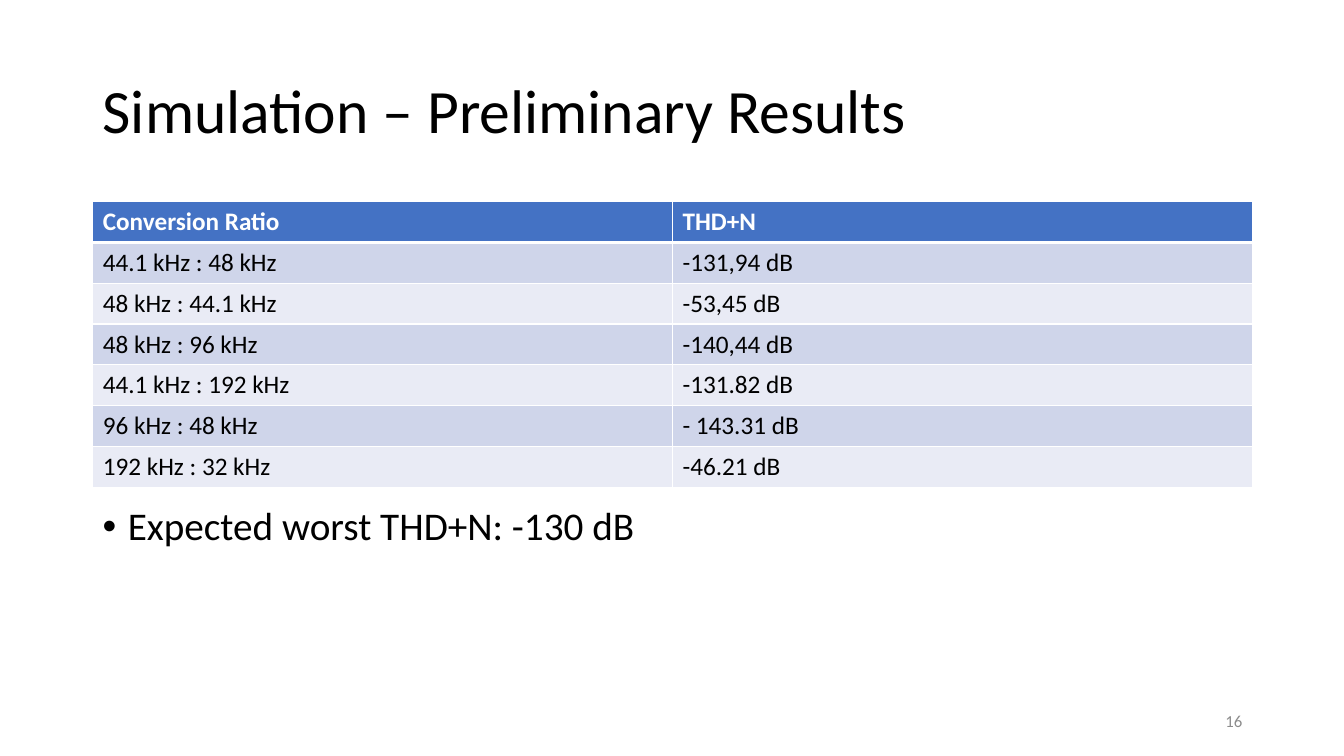
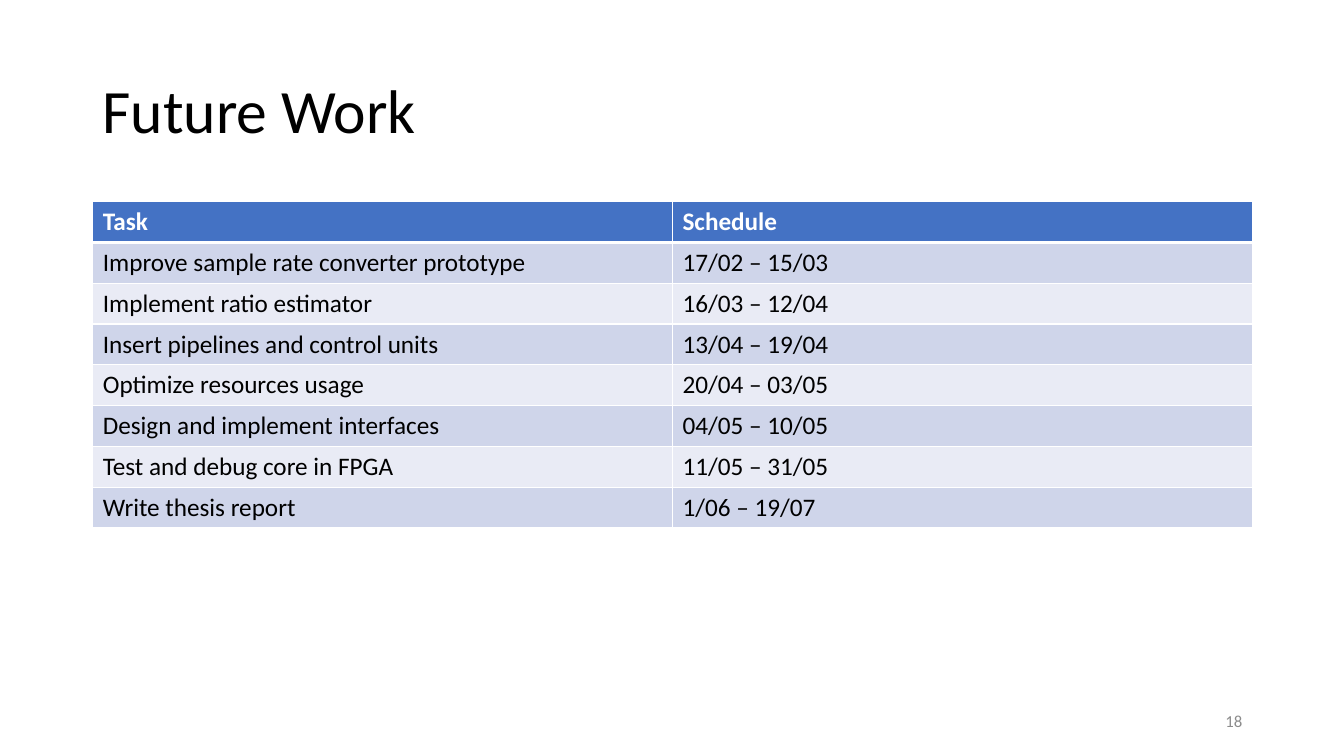
from dataclasses import dataclass
from typing import Any

from lxml.etree import SubElement
from pptx import Presentation
from pptx.dml.color import RGBColor
from pptx.enum.text import MSO_ANCHOR, PP_ALIGN
from pptx.oxml.ns import qn
from pptx.slide import Slide
from pptx.util import Inches, Pt


@dataclass(frozen=True)
class Theme:
    font: str = "Calibri"
    bullet_font: str = "Arial"
    ink: str = "000000"
    paper: str = "FFFFFF"
    muted: str = "8C8C8C"
    header: str = "4472C4"
    bands: tuple[str, str] = ("CFD5EA", "E9EBF5")
    title_size: int = 44
    body_size: int = 28
    table_size: int = 18
    number_size: int = 12
    rule: int = 1
    header_rule: int = 3


@dataclass(frozen=True)
class Box:
    left: float
    top: float
    width: float
    height: float

    def emu(self) -> list[int]:
        return [Inches(v) for v in (self.left, self.top, self.width, self.height)]


@dataclass(frozen=True)
class TextStyle:
    size: int
    color: str = "000000"
    bold: bool = False


@dataclass(frozen=True)
class Page:
    title: str
    number: int
    rows: tuple[tuple[str, str], ...]
    bullet: str = ""


THEME = Theme()
LEFT, WIDTH, ROW_HEIGHT = 0.92, 11.5, 0.405
TITLE_BOX = Box(LEFT, 0.4, WIDTH, 1.45)
NUMBER_BOX = Box(9.42, 6.95, 3, 0.4)
BULLET_BOX = Box(LEFT, 4.98, WIDTH, 1.77)
TITLE = TextStyle(THEME.title_size, THEME.ink)
BODY = TextStyle(THEME.body_size, THEME.ink)
NUMBER = TextStyle(THEME.number_size, THEME.muted)
HEADER = TextStyle(THEME.table_size, THEME.paper, True)
CELL = TextStyle(THEME.table_size, THEME.ink)

PAGES = (
    Page("Simulation – Preliminary Results", 16, (
        ("Conversion Ratio", "THD+N"),
        ("44.1 kHz : 48 kHz", "-131,94 dB"),
        ("48 kHz : 44.1 kHz", "-53,45 dB"),
        ("48 kHz : 96 kHz", "-140,44 dB"),
        ("44.1 kHz : 192 kHz", "-131.82 dB"),
        ("96 kHz : 48 kHz", "- 143.31 dB"),
        ("192 kHz : 32 kHz", "-46.21 dB"),
    ), "Expected worst THD+N: -130 dB"),
    Page("Future Work", 18, (
        ("Task", "Schedule"),
        ("Improve sample rate converter prototype", "17/02 – 15/03"),
        ("Implement ratio estimator", "16/03 – 12/04"),
        ("Insert pipelines and control units", "13/04 – 19/04"),
        ("Optimize resources usage", "20/04 – 03/05"),
        ("Design and implement interfaces", "04/05 – 10/05"),
        ("Test and debug core in FPGA", "11/05 – 31/05"),
        ("Write thesis report", "1/06 – 19/07"),
    )),
)


def set_all(target: Any, values: dict[str, Any]) -> None:
    for name, value in values.items():
        setattr(target, name, value)


def write(p: Any, text: str, style: TextStyle) -> None:
    r = p.add_run()
    r.text = text
    set_all(r.font, {"name": THEME.font, "size": Pt(style.size), "bold": style.bold})
    r.font.color.rgb = RGBColor.from_string(style.color)


def add_text(s: Slide, box: Box, text: str, style: TextStyle,
             anchor: MSO_ANCHOR = MSO_ANCHOR.MIDDLE, **paragraph: Any) -> Any:
    tf = s.shapes.add_textbox(*box.emu()).text_frame
    set_all(tf, {"word_wrap": True, "vertical_anchor": anchor})
    p = tf.paragraphs[0]
    set_all(p, paragraph)
    write(p, text, style)
    return p


def add_bullet(s: Slide, text: str) -> None:
    p = add_text(s, BULLET_BOX, text, BODY, MSO_ANCHOR.TOP,
                 line_spacing=0.9, space_before=Pt(10))
    pPr = p._p.get_or_add_pPr()
    pPr.set("marL", str(Inches(0.25)))
    pPr.set("indent", str(Inches(-0.25)))
    SubElement(pPr, qn("a:buFont"), typeface=THEME.bullet_font)
    SubElement(pPr, qn("a:buChar"), char="•")


def add_borders(cell: Any, top: int, bottom: int) -> None:
    tcPr = cell._tc.get_or_add_tcPr()
    widths = {"lnL": THEME.rule, "lnR": THEME.rule, "lnT": top, "lnB": bottom}
    for side, width in widths.items():
        ln = SubElement(tcPr, qn(f"a:{side}"), w=str(Pt(width)))
        fill = SubElement(ln, qn("a:solidFill"))
        SubElement(fill, qn("a:srgbClr"), val=THEME.paper)


def add_grid(s: Slide, rows: tuple[tuple[str, str], ...]) -> None:
    box = Box(LEFT, 2, WIDTH, ROW_HEIGHT * len(rows))
    table = s.shapes.add_table(len(rows), len(rows[0]), *box.emu()).table
    for i, row in enumerate(rows):
        style = CELL if i else HEADER
        color = THEME.bands[(i - 1) % 2] if i else THEME.header
        top = THEME.header_rule if i == 1 else THEME.rule
        bottom = THEME.rule if i else THEME.header_rule
        for j, text in enumerate(row):
            cell = table.cell(i, j)
            add_borders(cell, top, bottom)
            cell.fill.solid()
            cell.fill.fore_color.rgb = RGBColor.from_string(color)
            write(cell.text_frame.paragraphs[0], text, style)


def add_page(prs: Any, page: Page) -> None:
    s = prs.slides.add_slide(prs.slide_layouts[6])
    add_text(s, TITLE_BOX, page.title, TITLE, line_spacing=0.9)
    add_grid(s, page.rows)
    add_text(s, NUMBER_BOX, str(page.number), NUMBER, alignment=PP_ALIGN.RIGHT)
    if page.bullet:
        add_bullet(s, page.bullet)


prs = Presentation()
set_all(prs, {"slide_width": Inches(13.33), "slide_height": Inches(7.5)})
for page in PAGES:
    add_page(prs, page)
prs.save("out.pptx")
